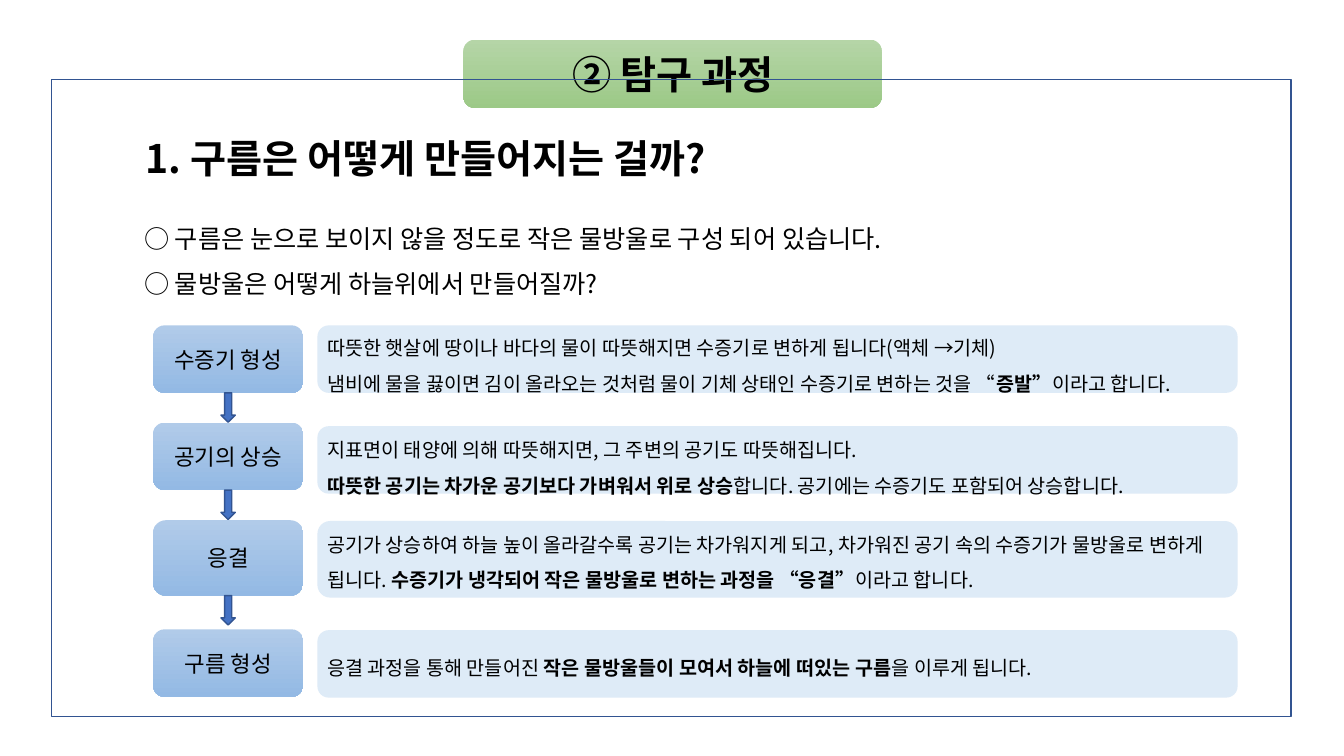
from lxml.etree import SubElement
from pptx import Presentation
from pptx.dml.color import RGBColor
from pptx.enum.shapes import MSO_SHAPE
from pptx.enum.text import MSO_ANCHOR, PP_ALIGN
from pptx.oxml.ns import qn
from pptx.util import Cm, Pt

FONT = "Noto Sans CJK KR"
COLORS = {
    "text": "000000",
    "panel": "DEEBF7",
    "title_top": "B5D5A7",
    "title_bottom": "9CC987",
    "label_top": "B1CBE9",
    "label_bottom": "93B9E4",
    "arrow": "4472C4",
    "outline": "325491",
}

# Each step: label, label (top, height), panel (top, height), text top,
# paragraphs of (text, bold) runs
STEPS = [
    ("수증기 형성", (8.2, 1.7), (8.2, 1.7), 8.05, [
        [("따뜻한 햇살에 땅이나 바다의 물이 따뜻해지면 수증기로 변하게 됩니다(액체 →기체)", False)],
        [("냄비에 물을 끓이면 김이 올라오는 것처럼 물이 기체 상태인 수증기로 변하는 것을 “", False),
         ("증발”", True), ("이라고 합니다.", False)],
    ]),
    ("공기의 상승", (10.65, 1.7), (10.74, 1.7), 10.62, [
        [("지표면이 태양에 의해 따뜻해지면, 그 주변의 공기도 따뜻해집니다.", False)],
        [("따뜻한 공기는 차가운 공기보다 가벼워서 위로 상승", True),
         ("합니다. 공기에는 수증기도 포함되어 상승합니다.", False)],
    ]),
    ("응결", (13.11, 1.9), (13.13, 1.93), 13.0, [
        [("공기가 상승하여 하늘 높이 올라갈수록 공기는 차가워지게 되고, "
          "차가워진 공기 속의 수증기가 물방울로 변하게 됩니다. ", False),
         ("수증기가 냉각되어 작은 물방울로 변하는 과정을 “응결”", True), ("이라고 합니다.", False)],
    ]),
    ("구름 형성", (15.86, 1.7), (15.88, 1.7), 16.1, [
        [("응결 과정을 통해 만들어진 ", False),
         ("작은 물방울들이 모여서 하늘에 떠있는 구름", True), ("을 이루게 됩니다.", False)],
    ]),
]


def color(name):
    return RGBColor.from_string(COLORS[name])


def write(shape, paragraphs, size, align=PP_ALIGN.LEFT, spacing=None, wrap=True):
    """Fill a shape with paragraphs, each a list of (text, bold) runs."""
    frame = shape.text_frame
    frame.word_wrap = wrap
    for index, runs in enumerate(paragraphs):
        para = frame.add_paragraph() if index else frame.paragraphs[0]
        para.alignment = align
        if spacing:
            para.line_spacing = spacing
        for text, bold in runs:
            span = para.add_run()
            span.text = text
            span.font.size = Pt(size)
            span.font.bold = bold
            span.font.color.rgb = color("text")
            span.font.name = FONT
            east_asian = SubElement(span._r.get_or_add_rPr(), qn("a:ea"))
            east_asian.set("typeface", FONT)


def add_text(page, box, paragraphs, size, **options):
    shape = page.shapes.add_textbox(*map(Cm, box))
    write(shape, paragraphs, size, **options)


def add_block(page, kind, box, fill=None, outline=None):
    """Add a shape; fill is None, one colour name or a (top, bottom) pair."""
    shape = page.shapes.add_shape(kind, *map(Cm, box))
    shape.shadow.inherit = False
    if fill is None:
        shape.fill.background()
    elif isinstance(fill, tuple):
        shape.fill.gradient()
        shape.fill.gradient_angle = 270
        for stop, name, position in zip(shape.fill.gradient_stops, fill, (0, 1)):
            stop.color.rgb = color(name)
            stop.position = position
    else:
        shape.fill.solid()
        shape.fill.fore_color.rgb = color(fill)
    if outline:
        shape.line.color.rgb = color(outline)
        shape.line.width = Pt(1)
    else:
        shape.line.fill.background()
    return shape


def add_label(page, box, text, size, fill, bold=False):
    label = add_block(page, MSO_SHAPE.ROUNDED_RECTANGLE, box, fill)
    label.text_frame.vertical_anchor = MSO_ANCHOR.MIDDLE
    write(label, [[(text, bold)]], size, align=PP_ALIGN.CENTER)


def add_introduction(page, left, top):
    add_text(page, (left, top, 16.18, 1.45), [[("1. 구름은 어떻게 만들어지는 걸까?", True)]],
             28, align=PP_ALIGN.CENTER, wrap=False)
    add_text(page, (left + 0.74, top + 1.86, 27.69, 2.41), [
        [("○ 구름은 눈으로 보이지 않을 정도로 작은 물방울로 구성 되어 있습니다.", False)],
        [("○ 물방울은 어떻게 하늘위에서 만들어질까?", False)],
    ], 18, spacing=1.5)


def add_steps(page, left, label_width, panel_width):
    """Draw labels, explanation panels and an arrow below all but the last label."""
    panel_left = left + label_width + 0.36
    arrow_width, arrow_height = 0.36, 0.74
    arrow_left = left + (label_width - arrow_width) / 2
    for index, (name, label, panel, text_top, paragraphs) in enumerate(STEPS):
        add_block(page, MSO_SHAPE.ROUNDED_RECTANGLE,
                  (panel_left, panel[0], panel_width, panel[1]), "panel")
        add_label(page, (left, label[0], label_width, label[1]), name, 16,
                  ("label_top", "label_bottom"))
        add_text(page, (panel_left, text_top, panel_width + 0.58, 0.1 + 0.92 * len(paragraphs)),
                 paragraphs, 14, spacing=1.5)
        if index < len(STEPS) - 1:
            add_block(page, MSO_SHAPE.DOWN_ARROW,
                      (arrow_left, sum(label), arrow_width, arrow_height), "arrow", "outline")


def main():
    deck = Presentation()
    deck.slide_width, deck.slide_height = Cm(33.87), Cm(19.05)
    page = deck.slides.add_slide(deck.slide_layouts[6])
    add_label(page, (11.68, 1, 10.54, 1.72), "② 탐구 과정", 28,
              ("title_top", "title_bottom"), bold=True)
    add_introduction(page, 2.64, 3.25)
    add_steps(page, 3.86, 3.78, 23.19)
    add_block(page, MSO_SHAPE.RECTANGLE, (1.3, 2.01, 31.24, 16.05), outline="outline")
    deck.save("out.pptx")


if __name__ == "__main__":
    main()
